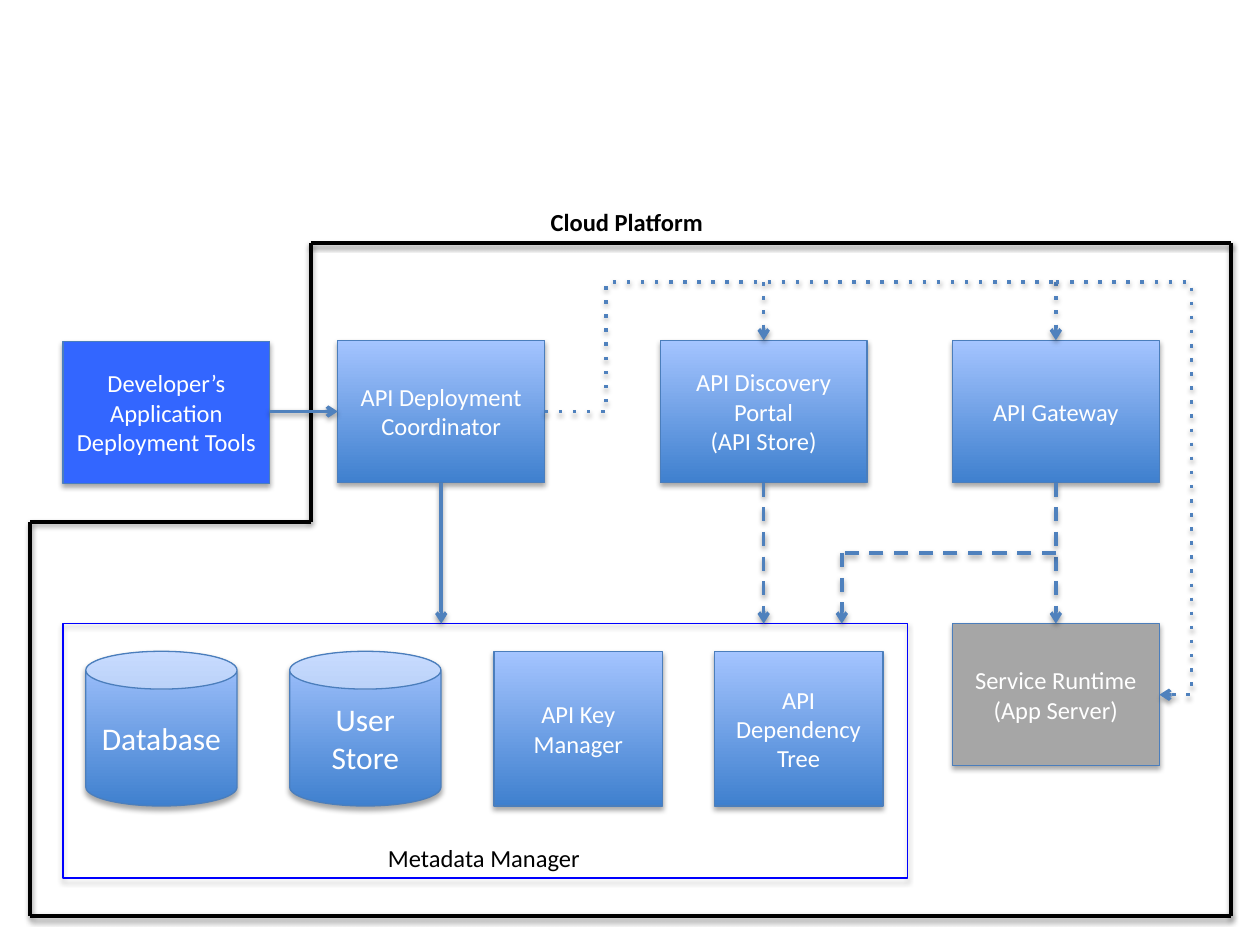
from lxml.etree import SubElement
from pptx import Presentation
from pptx.dml.color import RGBColor
from pptx.enum.shapes import MSO_CONNECTOR as Link, MSO_SHAPE as Kind
from pptx.enum.text import MSO_ANCHOR as Anchor, MSO_AUTO_SIZE as Fit, PP_ALIGN as Align
from pptx.oxml.ns import qn
from pptx.util import Cm, Pt

COLORS = {
    "tool": "3366FF", "runtime": "A6A6A6", "deep": "3F80CE", "pale": "A4C4FF",
    "edge": "4B7EBC", "group": "0000FF", "arrow": "4F81BD",
    "black": "000000", "white": "FFFFFF",
}


def rgb(name):
    return RGBColor.from_string(COLORS[name])


class Diagram:
    font = "Calibri"

    def __init__(self, page):
        self.page = page

    def add_text(self, frame, text, align, color, **formats):
        for index, words in enumerate(text.split("\n")):
            para = frame.paragraphs[0] if index == 0 else frame.add_paragraph()
            para.alignment = align
            span = para.add_run()
            span.text = words
            span.font.color.rgb = rgb(color)
            for key, value in {"name": self.font, **formats}.items():
                setattr(span.font, key, value)

    def shade(self, effects, alpha, distance):
        shadow = SubElement(effects, qn("a:outerShdw"), blurRad=str(Pt(3.1)),
                            dist=str(Pt(distance)), dir="5400000",
                            algn="tl", rotWithShape="0")
        color = SubElement(shadow, qn("a:srgbClr"), val=COLORS["black"])
        SubElement(color, qn("a:alpha"), val=str(alpha * 1000))

    def block(self, text, left, top, width, height, kind=Kind.RECTANGLE,
              fill="gradient", edge="edge", size=14):
        box = self.page.shapes.add_shape(kind, Cm(left), Cm(top), Cm(width), Cm(height))
        if fill == "gradient":
            box.fill.gradient()
            box.fill.gradient_angle = 90
            for stop, place, name in zip(box.fill.gradient_stops, (0, 1), ("deep", "pale")):
                stop.position = place
                stop.color.rgb = rgb(name)
        elif fill:
            box.fill.solid()
            box.fill.fore_color.rgb = rgb(fill)
        else:
            box.fill.background()
        box.line.color.rgb = rgb(edge)
        box.line.width = Pt(0.75)
        box.shadow.inherit = False
        self.shade(box._element.spPr.find(qn("a:effectLst")), 35, 1.8)
        if text:
            box.text_frame.word_wrap = True
            box.text_frame.vertical_anchor = Anchor.MIDDLE
            self.add_text(box.text_frame, text, Align.CENTER, "white", size=Pt(size))

    def label(self, text, left, top, width, height, bold=False):
        box = self.page.shapes.add_textbox(Cm(left), Cm(top), Cm(width), Cm(height))
        box.text_frame.word_wrap = False
        box.text_frame.auto_size = Fit.SHAPE_TO_FIT_TEXT
        self.add_text(box.text_frame, text, Align.LEFT, "black", size=Pt(14), bold=bold)

    def line(self, start, end, color="arrow", dash=None, arrow=True, bends=()):
        kind = Link.ELBOW if bends else Link.STRAIGHT
        link = self.page.shapes.add_connector(kind, *map(Cm, (*start, *end)))
        link.line.color.rgb = rgb(color)
        link.line.width = Pt(2)
        props = link._element.spPr
        stroke = props.find(qn("a:ln"))
        if dash:
            SubElement(stroke, qn("a:prstDash"), val=dash)
        if arrow:
            SubElement(stroke, qn("a:tailEnd"), type="arrow")
        self.shade(SubElement(props, qn("a:effectLst")), 38, 1.6)
        if bends:
            shape = props.find(qn("a:prstGeom"))
            shape.set("prst", f"bentConnector{len(bends) + 2}")
            guides = shape.find(qn("a:avLst"))
            if guides is None:
                guides = SubElement(shape, qn("a:avLst"))
            for number, share in enumerate(bends, 1):
                SubElement(guides, qn("a:gd"), name=f"adj{number}",
                           fmla=f"val {round(share * 100000)}")
        return link

    def turn(self, link):
        """Make an elbow leave vertically, keeping its two ends."""
        width, height = link.width, link.height
        link.left += (width - height) // 2
        link.top += (height - width) // 2
        link.width, link.height = height, width
        frame = link._element.spPr.find(qn("a:xfrm"))
        frame.set("rot", "16200000")
        frame.set("flipH", "1")


deck = Presentation()
deck.slide_width, deck.slide_height = Cm(25.4), Cm(19.05)
diagram = Diagram(deck.slides.add_slide(deck.slide_layouts[6]))

# Services
WIDE, TALL = 4.17, 2.87
TOP, LOW = 6.86, 12.57
TOOLS, COORDINATOR, PORTAL, GATEWAY = 1.27, 6.81, 13.31, 19.2
diagram.block("Developer’s Application Deployment Tools", TOOLS, TOP + 0.02, WIDE, TALL,
              fill="tool")
for text, left in (("API Deployment Coordinator", COORDINATOR),
                   ("API Discovery Portal\n(API Store)", PORTAL),
                   ("API Gateway", GATEWAY)):
    diagram.block(text, left, TOP, WIDE, TALL)
diagram.block("Service Runtime\n(App Server)", GATEWAY, LOW, WIDE, TALL, fill="runtime")

# Metadata manager
diagram.block("", TOOLS, LOW, 17.02, 5.13, fill=None, edge="group")
for text, left in (("Database", 1.73), ("User Store", 5.84)):
    diagram.block(text, left, 13.13, 3.05, 3.12, kind=Kind.CAN, size=18)
for text, left in (("API Key Manager", 9.96), ("API Dependency Tree", 14.4)):
    diagram.block(text, left, 13.13, 3.4, 3.12)
diagram.label("Metadata Manager", 7.57, 16.87, 4.45, 0.86)

# Arrows down from the services
coordinator, portal, gateway = (x + WIDE / 2 for x in (COORDINATOR, PORTAL, GATEWAY))
for middle, dash in ((coordinator, None), (portal, "dash"), (gateway, "dash")):
    diagram.line((middle, TOP + TALL), (middle, LOW), dash=dash)

# Dotted links from the coordinator
BUS, AXIS = 5.69, TOP + TALL / 2
diagram.line((COORDINATOR + WIDE, AXIS), (gateway, BUS), dash="dot", arrow=False,
             bends=(0.12,))
for middle in (portal, gateway):
    diagram.line((middle, BUS), (middle, TOP), dash="dot")
diagram.turn(diagram.line((gateway, BUS), (GATEWAY + WIDE, LOW + TALL / 2), dash="dot",
                          bends=(0, 1.31)))

# Dashed branch to the metadata manager
BRANCH, SPLIT = 16.97, 11.15
diagram.line((gateway, SPLIT), (BRANCH, SPLIT), dash="dash", arrow=False)
diagram.line((BRANCH, SPLIT), (BRANCH, LOW), dash="dash")

# Cloud platform outline
diagram.label("Cloud Platform", 10.85, 4.04, 3.61, 0.86, bold=True)
corners = [(0.61, 18.47), (24.82, 18.47), (24.82, 4.9), (6.27, 4.9),
           (6.27, 10.52), (0.61, 10.52)]
for start, end in zip(corners, corners[1:] + corners[:1]):
    diagram.line(start, end, color="black", arrow=False)

# Tools to coordinator
diagram.line((TOOLS + WIDE, AXIS), (COORDINATOR, AXIS))

deck.save("out.pptx")
